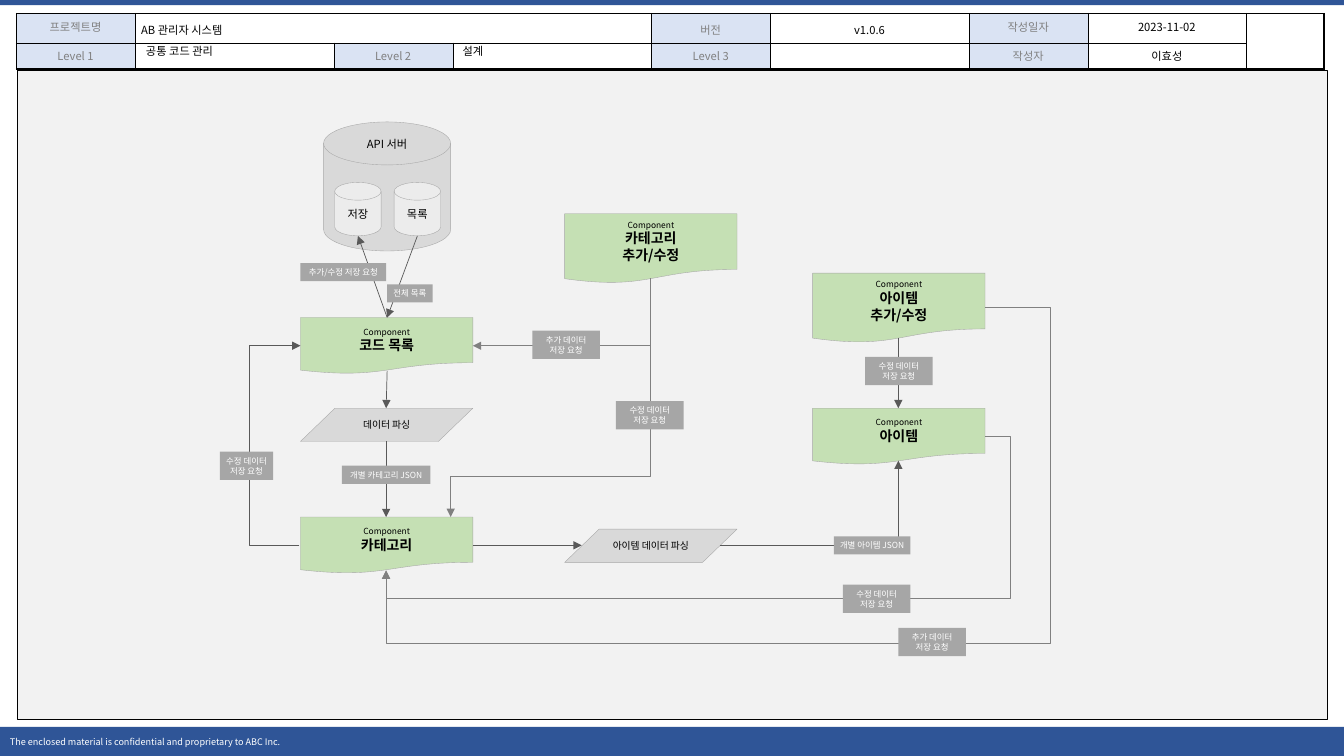
import pptx
import pptx.util
import pptx.dml.color
import pptx.enum.shapes
import pptx.enum.text
import pptx.oxml
import pptx.oxml.ns

Inches = pptx.util.Inches
Pt = pptx.util.Pt
SHAPES = pptx.enum.shapes.MSO_SHAPE
CONNECTORS = pptx.enum.shapes.MSO_CONNECTOR
ALIGN = pptx.enum.text.PP_ALIGN
ANCHOR = pptx.enum.text.MSO_ANCHOR
qn = pptx.oxml.ns.qn

FONT = "Noto Sans CJK KR"
COLORS = {
    "navy": "2F5597", "header": "DAE3F3", "panel": "F2F2F2", "green": "C5E0B4",
    "silver": "D9D9D9", "label": "A6A6A6", "dark": "595959", "gray": "808080",
    "black": "000000", "white": "FFFFFF",
}
FOOTER = "The enclosed material is confidential and proprietary to ABC Inc."

COLUMN_WIDTHS = [1.18, 1.97, 1.18, 1.97, 1.18, 1.97, 1.18, 1.57, 0.77]
ROW_HEIGHTS = [0.28, 0.26]
HEADER_ROWS = [
    ["프로젝트명", "AB 관리자 시스템", "", "", "버전", "v1.0.6", "작성일자", "2023-11-02", ""],
    ["Level 1", "", "Level 2", "", "Level 3", "", "작성자", "이효성", ""],
]
HEADINGS = {"프로젝트명", "버전", "작성일자", "작성자", "Level 1", "Level 2", "Level 3"}
LOOSE_CELLS = {"AB 관리자 시스템", "버전", "v1.0.6"}
LEVEL_VALUES = [("공통 코드 관리", 1.35), ("설계", 4.49)]

BOX_WIDTH = 1.71
COMPONENTS = [
    (2.98, 3.15, ["코드 목록"]),
    (2.98, 5.13, ["카테고리"]),
    (8.06, 4.05, ["아이템"]),
    (5.6, 2.12, ["카테고리", "추가/수정"]),
    (8.06, 2.71, ["아이템", "추가/수정"]),
]
PARSERS = [("데이터 파싱", 2.98, 4.05), ("아이템 데이터 파싱", 5.6, 5.25)]
DISKS = [("목록", 3.91), ("저장", 3.32)]

ARROWS = [
    ((3.84, 3.15), (3.55, 2.34)),
    ((4.14, 2.34), (3.84, 3.15)),
    ((3.84, 3.68), (3.83, 4.05)),
    ((3.83, 4.38), (3.83, 5.13)),
    ((4.69, 5.41), (5.77, 5.41)),
    ((8.91, 3.35), (8.91, 4.05)),
]
ELBOWS = [
    ((2.97, 5.41), (2.98, 3.43), "dark", False, [2.47]),
    ((7.14, 5.41), (8.91, 4.57), "dark", False, []),
    ((6.45, 2.76), (4.69, 3.43), "gray", True, []),
    ((9.77, 4.33), (3.83, 5.66), "gray", False, [10.02, 5.94]),
    ((6.45, 2.76), (4.47, 5.13), "gray", True, [4.73]),
    ((9.77, 3.05), (3.83, 5.66), "gray", False, [10.42, 6.38]),
]
EDIT = ["수정 데이터", "저장 요청"]
ADD = ["추가 데이터", "저장 요청"]
LABELS = [
    (["추가/수정 저장 요청"], 2.98, 2.61, 0.85),
    (["전체 목록"], 3.84, 2.82, 0.45),
    (["개별 카테고리 JSON"], 3.39, 4.62, 0.88),
    (EDIT, 2.18, 4.48, 0.53),
    (["개별 아이템 JSON"], 8.27, 5.32, 0.76),
    (EDIT, 8.58, 3.54, 0.67),
    (ADD, 5.28, 3.28, 0.67),
    (EDIT, 8.36, 5.8, 0.67),
    (EDIT, 6.11, 3.98, 0.67),
    (ADD, 8.91, 6.23, 0.67),
]


def color(name):
    return pptx.dml.color.RGBColor.from_string(COLORS[name])


def child(parent, tag, **attributes):
    element = parent.makeelement(qn(tag), attributes)
    parent.append(element)
    return element


def write(frame, text, size=8, fill="black", bold=False, align=ALIGN.CENTER,
          spacing=None, wrap=True, margin=0, append=False):
    frame.word_wrap = wrap
    frame.vertical_anchor = ANCHOR.MIDDLE
    frame.margin_left = frame.margin_right = Inches(margin)
    frame.margin_top = frame.margin_bottom = Inches(min(margin, 0.05))
    paragraph = frame.add_paragraph() if append else frame.paragraphs[0]
    paragraph.alignment = align
    if spacing:
        paragraph.line_spacing = spacing
    if not text:
        child(paragraph._p, "a:endParaRPr", sz=str(size * 100))
        return
    run = paragraph.add_run()
    run.text = text
    run.font.name = FONT
    run.font.size = Pt(size)
    run.font.bold = bold
    run.font.color.rgb = color(fill)
    child(run._r.get_or_add_rPr(), "a:ea", typeface=FONT)


def add_box(kind, left, top, width, height, fill, line=None, weight=0.25):
    shape = slide.shapes.add_shape(kind, Inches(left), Inches(top), Inches(width), Inches(height))
    shape.shadow.inherit = False
    shape.fill.solid()
    shape.fill.fore_color.rgb = color(fill)
    if line:
        shape.line.color.rgb = color(line)
        shape.line.width = Pt(weight)
    else:
        shape.line.fill.background()
    return shape


def add_arrow(kind, begin, end, line):
    connector = slide.shapes.add_connector(kind, *(Inches(value) for value in (*begin, *end)))
    connector.line.color.rgb = color(line)
    connector.line.width = Pt(0.5)
    child(connector.line._get_or_add_ln(), "a:tailEnd", type="triangle")
    child(connector._element.spPr, "a:effectLst")
    return connector


def add_elbow(begin, end, line, downward, bends):
    (x1, y1), (x2, y2) = begin, end
    ratios = [(bend - first) / (last - first) for bend, first, last in
              zip(bends, (y1, x1) if downward else begin, (y2, x2) if downward else end)]
    if downward:
        center_x, center_y = (x1 + x2) / 2, (y1 + y2) / 2
        half_width, half_height = abs(y2 - y1) / 2, abs(x2 - x1) / 2
        begin = center_x - half_width, center_y - half_height
        end = center_x + half_width, center_y + half_height
    connector = add_arrow(CONNECTORS.ELBOW, begin, end, line)
    properties = connector._element.spPr
    if downward:
        properties.find(qn("a:xfrm")).set("rot", "5400000")
    geometry = properties.find(qn("a:prstGeom"))
    geometry.set("prst", f"bentConnector{len(bends) + 2}")
    guides = geometry.find(qn("a:avLst"))
    for number, ratio in enumerate(ratios, 1):
        child(guides, "a:gd", name=f"adj{number}", fmla=f"val {round(ratio * 100000)}")


def add_header():
    table_shape = slide.shapes.add_table(2, 9, Inches(0.16), Inches(0.13),
                                         Inches(sum(COLUMN_WIDTHS)), Inches(sum(ROW_HEIGHTS)))
    table = table_shape.table
    table.first_row = table.horz_banding = False
    for column, width in zip(table.columns, COLUMN_WIDTHS):
        column.width = Inches(width)
    for row, height in zip(table.rows, ROW_HEIGHTS):
        row.height = Inches(height)
    for row_index, texts in enumerate(HEADER_ROWS):
        for column_index, text in enumerate(texts):
            cell = table.cell(row_index, column_index)
            heading = text in HEADINGS
            write(cell.text_frame, text, fill="gray" if heading else "black",
                  align=ALIGN.LEFT if text.startswith("AB") else ALIGN.CENTER,
                  spacing=1.2 if text in LOOSE_CELLS else None)
            cell.vertical_anchor = ANCHOR.TOP
            cell.margin_left = cell.margin_right = Inches(0.06)
            cell.margin_top = cell.margin_bottom = Inches(0.05)
            properties = cell._tc.get_or_add_tcPr()
            thick = {"a:lnR": column_index == 8, "a:lnB": row_index == 1 or column_index == 8}
            for side in ("a:lnL", "a:lnR", "a:lnT", "a:lnB"):
                border = child(properties, side, w=str(Pt(1.5 if thick.get(side) else 0.25)))
                child(child(border, "a:solidFill"), "a:srgbClr", val=COLORS["black"])
            cell.fill.solid()
            cell.fill.fore_color.rgb = color("header" if heading else "white")
    table.cell(0, 1).merge(table.cell(0, 3))
    table.cell(0, 8).merge(table.cell(1, 8))


presentation = pptx.Presentation()
presentation.slide_width = Inches(13.33)
presentation.slide_height = Inches(7.5)
slide = presentation.slides.add_slide(presentation.slide_layouts[6])

add_box(SHAPES.RECTANGLE, 0, 0, 13.33, 0.05, "navy")
footer = add_box(SHAPES.RECTANGLE, 0, 7.21, 13.33, 0.29, "navy")
write(footer.text_frame, FOOTER, size=6.5, fill="white", align=ALIGN.LEFT, margin=0.1)
add_header()
add_box(SHAPES.RECTANGLE, 0.17, 0.7, 12.99, 6.44, "panel", "black")
for text, left in LEVEL_VALUES:
    value = slide.shapes.add_textbox(Inches(left), Inches(0.39), Inches(1.97), Inches(0.24))
    write(value.text_frame, text, align=ALIGN.LEFT, spacing=0.9, margin=0.1)

add_box(SHAPES.FLOWCHART_MAGNETIC_DISK, 3.21, 1.21, 1.26, 1.28, "silver", "label")
server = slide.shapes.add_textbox(Inches(3.21), Inches(1.21), Inches(1.26), Inches(0.43))
write(server.text_frame, "API 서버")
for text, left in DISKS:
    disk = add_box(SHAPES.FLOWCHART_MAGNETIC_DISK, left, 1.81, 0.46, 0.53, "white", "label")
    child(disk._element.spPr.find(qn("a:solidFill"))[0], "a:alpha", val="50000")
    write(disk.text_frame, text)

for text, left, top in PARSERS:
    parser = add_box(SHAPES.FLOWCHART_DATA, left, top, BOX_WIDTH, 0.33, "silver", "label")
    write(parser.text_frame, text, size=7)
for left, top, titles in COMPONENTS:
    height = 0.43 + 0.13 * len(titles)
    component = add_box(SHAPES.FLOWCHART_DOCUMENT, left, top, BOX_WIDTH, height, "green", "label")
    write(component.text_frame, "Component", size=6)
    for title in titles:
        write(component.text_frame, title, size=10, bold=True, append=True)

for begin, end in ARROWS:
    add_arrow(CONNECTORS.STRAIGHT, begin, end, "dark")
for elbow in ELBOWS:
    add_elbow(*elbow)
for lines, left, top, width in LABELS:
    label = add_box(SHAPES.RECTANGLE, left, top, width, 0.08 + 0.1 * len(lines), "label")
    for index, text in enumerate(lines):
        write(label.text_frame, text, size=6, fill="white", wrap=False, margin=0.04, append=index > 0)

presentation.save("out.pptx")
